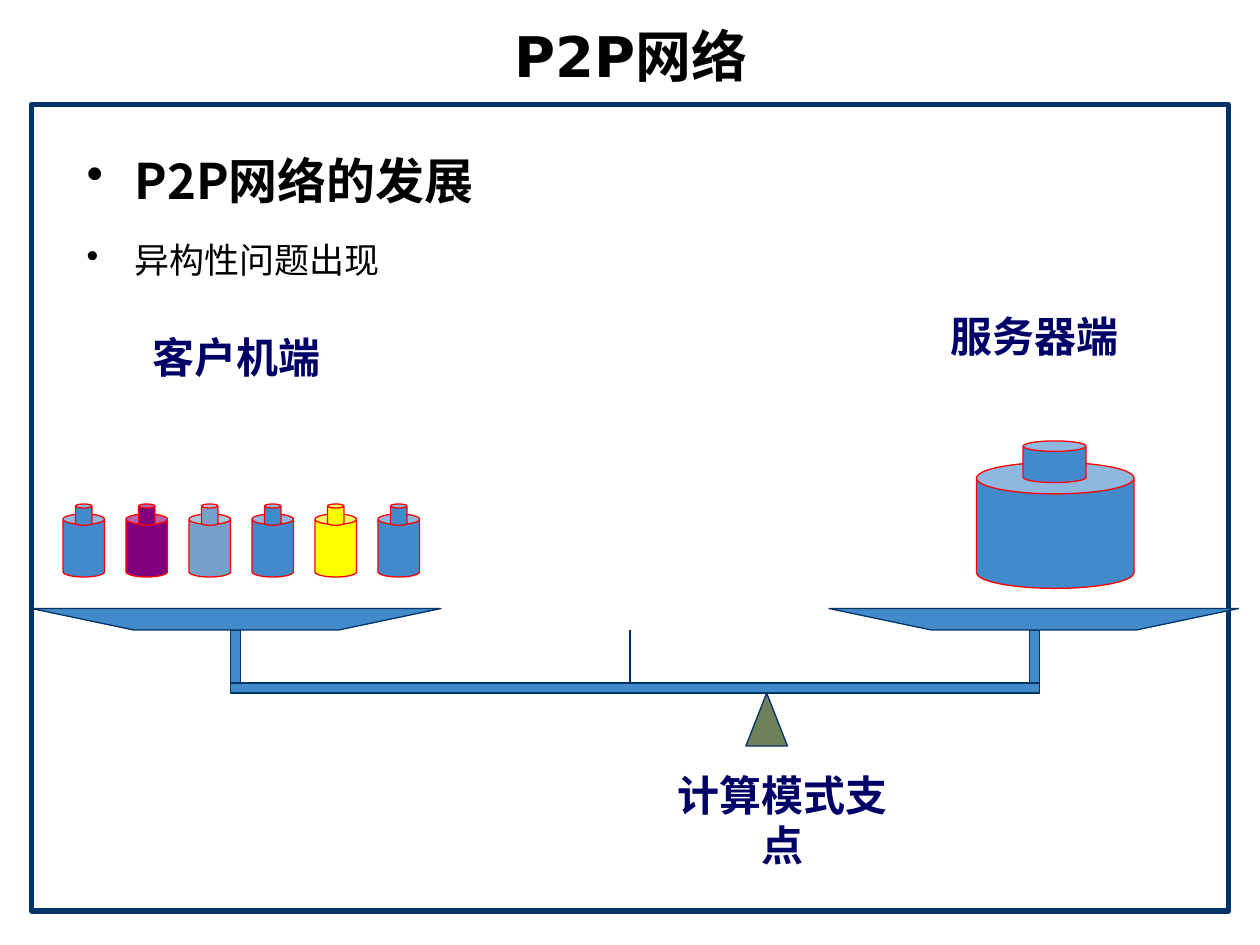
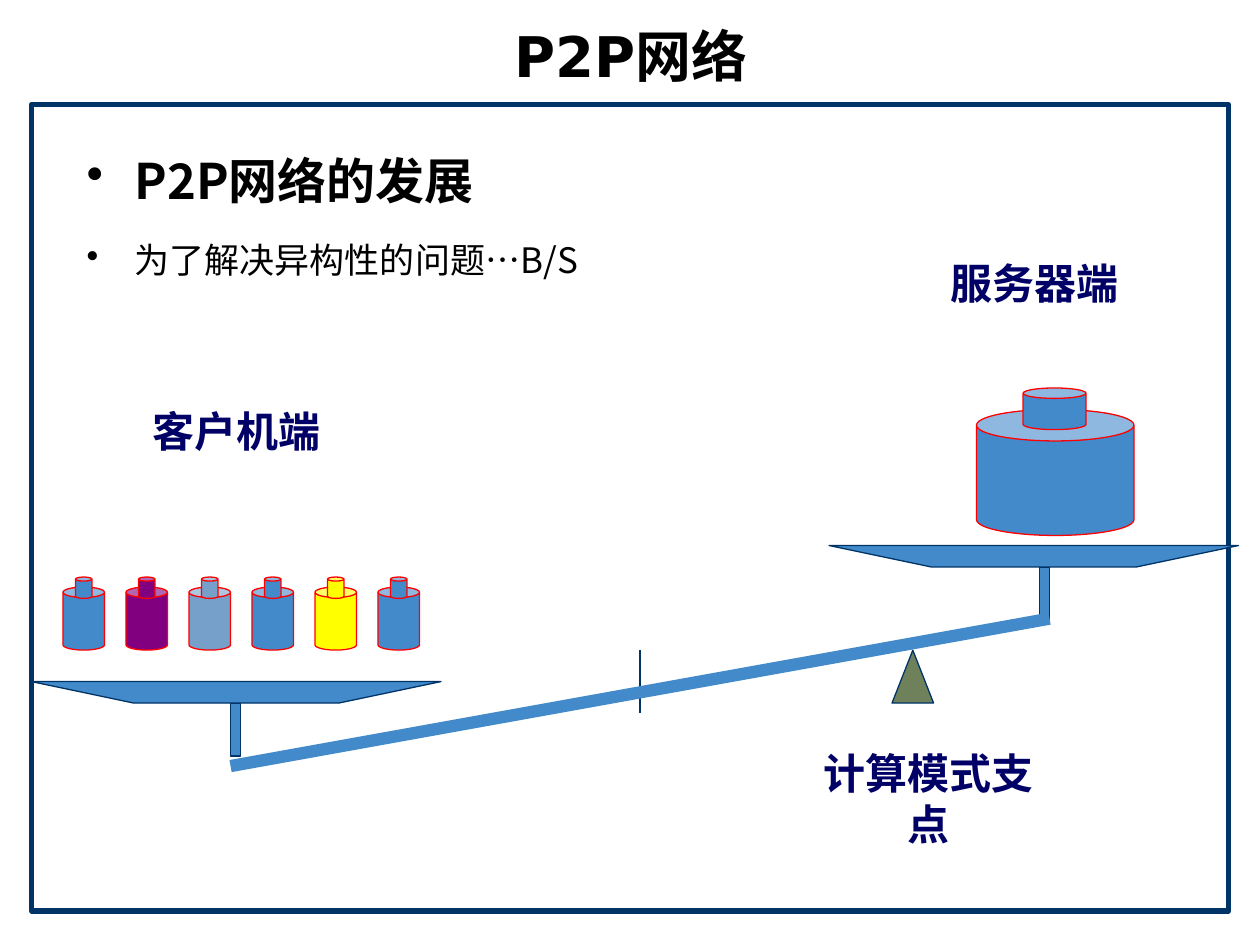
from lxml.etree import SubElement as SubEl
from pptx import Presentation
from pptx.dml.color import RGBColor as Rgb
from pptx.enum.shapes import MSO_CONNECTOR as Conn, MSO_SHAPE as Shape
from pptx.enum.text import MSO_ANCHOR as Anchor, PP_ALIGN as Align
from pptx.oxml.ns import qn
from pptx.util import Inches, Pt

# Content
TITLE = "P2P网络"
HEAD = "P2P网络的发展"
CLIENT, SERVER, PIVOT = "客户机端", "服务器端", "计算模式支点"

BLUE, NAVY, RED, BLACK = "438ACB", "003366", "FF0000", "000000"
INK, GREEN = "000066", "6E815B"
SANS, CJK, SERIF = "DejaVu Sans", "Noto Sans CJK SC", "Times New Roman"
CLIENTS = [BLUE, "800080", "76A0CA", BLUE, "FFFF00", BLUE]

# Tops of the pans and the server, pivot corner, tick top, beam ends
SLIDES = [
    dict(point="异构性问题出现", left=4.83, right=4.83, server=3.67,
         post=8.17, pivot=(5.92, 5.5), note=6.17, tick=(5, 5),
         beam=(1.83, 5.42, 8.25, 5.42)),
    dict(point="为了解决异构性的问题…B/S", left=5.41, right=4.33, server=3.25,
         post=8.25, pivot=(7.08, 5.16), note=6, tick=(5.08, 5.16),
         beam=(1.83, 6.08, 8.33, 4.91)),
]

# Sizes of the scale
PAN_W, PAN_H, PAN_IN = 3.25, 0.17, 0.81
LEFT_X, RIGHT_X, POST_X = 0.25, 6.58, 1.83
POST_H, BAR = 0.42, 0.08


def color(code):
    return Rgb.from_string(code)


def paint(shape, fill, line, width=0.75):
    shape.shadow.inherit = False
    shape.fill.solid()
    shape.fill.fore_color.rgb = color(fill)
    shape.line.color.rgb = color(line)
    shape.line.width = Pt(width)


def draw(shapes, kind, box, fill, line=NAVY, width=0.75):
    shape = shapes.add_shape(kind, *map(Inches, box))
    paint(shape, fill, line, width)
    return shape


def rule(shapes, ends, tint, width):
    line = shapes.add_connector(Conn.STRAIGHT, *map(Inches, ends))
    line.line.color.rgb = color(tint)
    line.line.width = Pt(width)
    SubEl(line._element.spPr, qn("a:effectLst"))


def text_box(shapes, box, wrap=True, anchor=Anchor.MIDDLE):
    frame = shapes.add_textbox(*map(Inches, box)).text_frame
    frame.word_wrap = wrap
    frame.vertical_anchor = anchor
    return frame


def add_run(para, text, size, face, tint, bold=True):
    run = para.add_run()
    run.text = text
    run.font.size = Pt(size)
    run.font.name = face
    run.font.bold = bold
    run.font.color.rgb = color(tint)
    SubEl(run._r.get_or_add_rPr(), qn("a:ea"), typeface=CJK)


def center(shapes, box, text, size, face, tint, wrap=True):
    para = text_box(shapes, box, wrap).paragraphs[0]
    para.alignment = Align.CENTER
    add_run(para, text, size, face, tint)


def label(shapes, x, y, text):
    center(shapes, (x, y, 1.92, 0.67), text, 24, SERIF, INK, wrap=False)


def bullets(shapes, point):
    frame = text_box(shapes, (0.59, 0.91, 9, 5.99), anchor=Anchor.TOP)
    for i, (text, size) in enumerate([(HEAD, 28), (point, 20)]):
        para = frame.add_paragraph() if i else frame.paragraphs[0]
        props = para._p.get_or_add_pPr()
        props.set("marL", str(Inches(0.38)))
        props.set("indent", str(-Inches(0.38)))
        SubEl(props, qn("a:buChar"), char="•")
        para.line_spacing = 1.5
        if i:
            para.space_before = Pt(5)
        add_run(para, text, size, CJK, BLACK, bold=not i)


def weight(shapes, body, neck, fill):
    group = shapes.add_group_shape()
    for box in (body, neck):
        draw(group.shapes, Shape.CAN, box, fill, RED)


def pan(shapes, x, y, post):
    draw(shapes, Shape.RECTANGLE, (post, y + PAN_H, BAR, POST_H), BLUE)
    low = y + PAN_H
    edge = [(x + PAN_IN, low), (x + PAN_W - PAN_IN, low), (x + PAN_W, y)]
    build = shapes.build_freeform(Inches(x), Inches(y))
    build.add_line_segments([(Inches(a), Inches(b)) for a, b in edge])
    paint(build.convert_to_shape(), BLUE, NAVY)


def beam(shapes, ends):
    x1, y1, x2, y2 = ends
    if y1 == y2:
        draw(shapes, Shape.RECTANGLE, (x1, y1, x2 - x1, BAR), BLUE)
    else:
        rule(shapes, ends, BLUE, 7)


def base(shapes, point):
    # Frame, title and bullets
    draw(shapes, Shape.RECTANGLE, (0.25, 0.83, 9.5, 6.4), "FFFFFF", NAVY, 3)
    bullets(shapes, point)
    center(shapes, (0.27, 0.13, 9.48, 0.62), TITLE, 32, SANS, BLACK)


def scale(shapes, data):
    # Pans, pivot and tick
    left, top = data["left"], data["server"]
    pan(shapes, LEFT_X, left, POST_X)
    pan(shapes, RIGHT_X, data["right"], data["post"])
    x, y = data["pivot"]
    draw(shapes, Shape.ISOSCELES_TRIANGLE, (x, y, 0.33, 0.42), GREEN)
    label(shapes, x - 0.67, data["note"], PIVOT)
    tx, ty = data["tick"]
    rule(shapes, (tx, ty, tx, ty + 0.5), NAVY, 0.75)

    # Server
    weight(shapes, (7.75, top, 1.25, 1), (8.12, top - 0.17, 0.5, 0.33), BLUE)
    label(shapes, 7.25, top - 1.34, SERVER)

    # Clients, half an inch apart
    for i, fill in enumerate(CLIENTS):
        cx = 0.5 + 0.5 * i
        weight(shapes, (cx, left - 0.75, 0.33, 0.5),
               (cx + 0.1, left - 0.83, 0.13, 0.17), fill)
    label(shapes, 0.92, left - 2.33, CLIENT)
    beam(shapes, data["beam"])


def main():
    deck = Presentation()
    deck.slide_width, deck.slide_height = Inches(10), Inches(7.5)
    for data in SLIDES:
        shapes = deck.slides.add_slide(deck.slide_layouts[6]).shapes
        base(shapes, data["point"])
        scale(shapes, data)
    deck.save("out.pptx")


if __name__ == "__main__":
    main()
